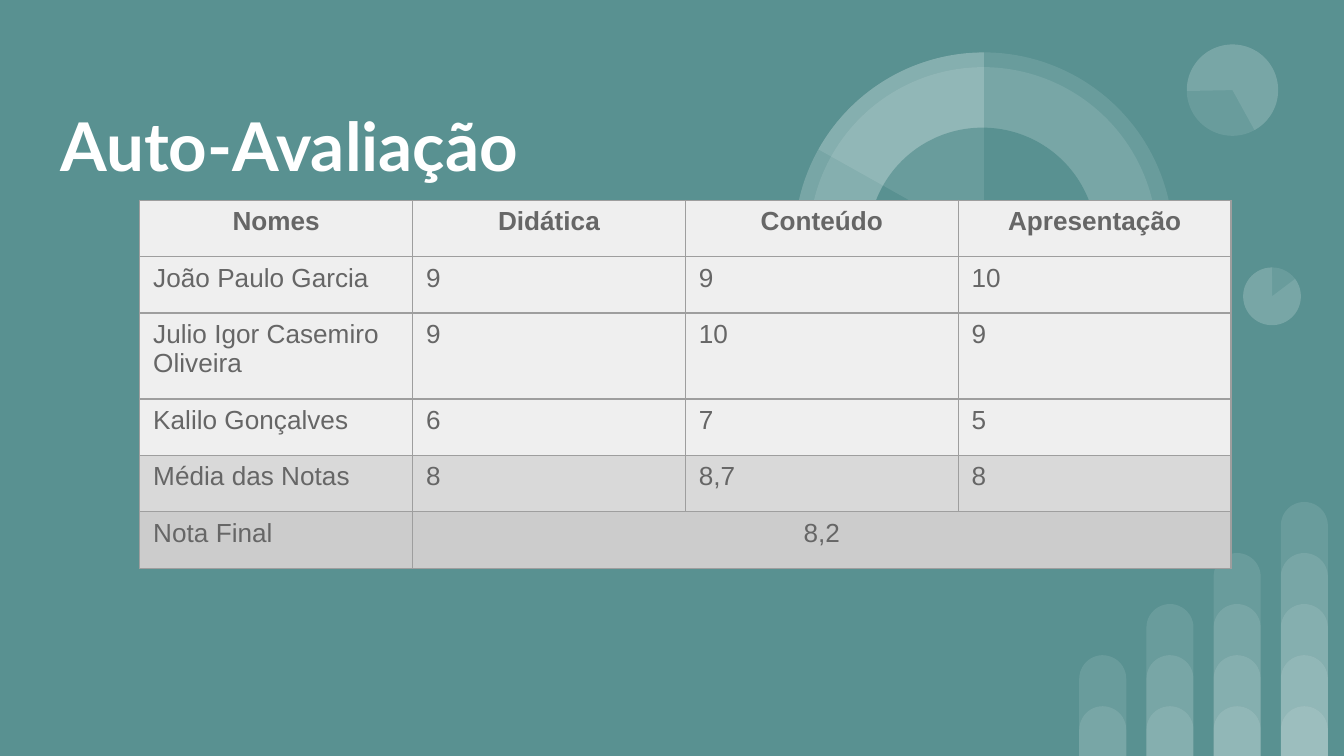
"""Build the self-evaluation slide with its grade table."""
from dataclasses import dataclass
from typing import Optional

from lxml.etree import SubElement
from pptx import Presentation
from pptx.dml.color import RGBColor
from pptx.enum.shapes import MSO_SHAPE
from pptx.enum.text import MSO_ANCHOR, PP_ALIGN
from pptx.oxml import parse_xml
from pptx.oxml.ns import nsdecls, qn
from pptx.util import Inches, Pt


@dataclass(frozen=True)
class Theme:
    background: RGBColor = RGBColor(0x59, 0x91, 0x91)
    white: RGBColor = RGBColor(0xFF, 0xFF, 0xFF)
    cell_text: RGBColor = RGBColor(0x66, 0x66, 0x66)
    grades_fill: RGBColor = RGBColor(0xEF, 0xEF, 0xEF)
    average_fill: RGBColor = RGBColor(0xD9, 0xD9, 0xD9)
    final_fill: RGBColor = RGBColor(0xCC, 0xCC, 0xCC)
    border: str = "9E9E9E"
    border_width: float = 0.75
    veil_percent: int = 10
    title_font: str = "Lato"
    title_size: int = 36
    table_font: str = "Arial"
    table_size: int = 14


@dataclass(frozen=True)
class Disc:
    left: float
    top: float
    size: float
    rotation: float = 0
    wedge: Optional[tuple[float, float]] = None
    opaque: bool = False


@dataclass(frozen=True)
class GradeRow:
    values: tuple[str, ...]
    fill: RGBColor
    height: float = 0.42
    header: bool = False


THEME = Theme()
SLIDE_WIDTH = 10
SLIDE_HEIGHT = SLIDE_WIDTH * 9 / 16
COLUMN_WIDTH = 2.03
BAR_COLUMNS = 4

DISCS = (
    Disc(9.25, 1.99, 0.43),
    Disc(7.08, 3.81, 0.35, 196.2),
    Disc(8.36, 2.96, 0.69, 90),
    Disc(8.36, 2.96, 0.69, 90, (137.41, 270.77)),
    Disc(8.5, 3.09, 0.43, 90),
    Disc(9.25, 1.99, 0.43, 0, (322.95, 270)),
    Disc(8.83, 0.33, 0.68, 215.9),
    Disc(8.83, 0.33, 0.68, 215.9, (322.95, 205.23)),
    Disc(5.91, 0.39, 2.82),
    Disc(6.02, 0.5, 2.59, 34.1),
    Disc(5.91, 0.39, 2.82, 0, (146.69, 270)),
    Disc(6.46, 0.95, 1.7, 34.1, opaque=True),
    Disc(5.91, 0.39, 2.82, 0, (209.24, 270)),
    Disc(7.08, 3.81, 0.35, 196.2, (322.95, 270)),
)

ROWS = (
    GradeRow(("Nomes", "Didática", "Conteúdo", "Apresentação"), THEME.grades_fill, header=True),
    GradeRow(("João Paulo Garcia", "9", "9", "10"), THEME.grades_fill),
    GradeRow(("Julio Igor Casemiro Oliveira", "9", "10", "9"), THEME.grades_fill, 0.64),
    GradeRow(("Kalilo Gonçalves", "6", "7", "5"), THEME.grades_fill),
    GradeRow(("Média das Notas", "8", "8,7", "8"), THEME.average_fill),
    GradeRow(("Nota Final", "8,2", "", ""), THEME.final_fill),
)


def paint(shape, color: RGBColor, opacity: int = 100) -> None:
    """Give a shape a flat fill without line or shadow."""
    shape.shadow.inherit = False
    shape.line.fill.background()
    shape.fill.solid()
    shape.fill.fore_color.rgb = color
    if opacity < 100:
        color_element = shape.fill._xPr.find(qn("a:solidFill"))[0]
        SubElement(color_element, qn("a:alpha"), val=str(opacity * 1000))


def draw_bars(page) -> None:
    """Draw the rising columns of overlapping translucent bars."""
    group = page.shapes.add_group_shape()
    for column in range(BAR_COLUMNS):
        for level in range(column + 2):
            height = 0.37 + 0.38 * level
            bar = group.shapes.add_shape(
                MSO_SHAPE.ROUND_2_SAME_RECTANGLE,
                Inches(8.03 + 0.5 * column), Inches(SLIDE_HEIGHT - height),
                Inches(0.35), Inches(height))
            bar.adjustments[0] = 0.5
            bar.adjustments[1] = 0
            paint(bar, THEME.white, THEME.veil_percent)


def draw_discs(page) -> None:
    """Draw the circles and pie wedges, with angles in degrees."""
    group = page.shapes.add_group_shape()
    for disc in DISCS:
        kind = MSO_SHAPE.PIE if disc.wedge else MSO_SHAPE.OVAL
        shape = group.shapes.add_shape(
            kind, Inches(disc.left), Inches(disc.top), Inches(disc.size), Inches(disc.size))
        shape.rotation = disc.rotation
        for index, degrees in enumerate(disc.wedge or ()):
            shape.adjustments[index] = degrees * 0.6
        if disc.opaque:
            paint(shape, THEME.background)
        else:
            paint(shape, THEME.white, THEME.veil_percent)


def set_font(paragraph, name: str, size: int, color: RGBColor, bold: bool) -> None:
    """Set the font of a whole paragraph."""
    font = paragraph.font
    font.name, font.size, font.bold = name, Pt(size), bold
    font.color.rgb = color


def draw_title(page) -> None:
    """Write the slide title."""
    box = page.shapes.add_textbox(Inches(0.35), Inches(0.05), Inches(4.65), Inches(2.05))
    frame = box.text_frame
    frame.word_wrap = True
    frame.vertical_anchor = MSO_ANCHOR.MIDDLE
    frame.margin_left = frame.margin_right = Inches(0.1)
    frame.margin_top = frame.margin_bottom = Inches(0.1)
    frame.text = "Auto-Avaliação"
    set_font(frame.paragraphs[0], THEME.title_font, THEME.title_size, THEME.white, True)


def add_borders(cell) -> None:
    """Outline all four sides of a cell."""
    properties = cell._tc.get_or_add_tcPr()
    for index, side in enumerate(("lnL", "lnR", "lnT", "lnB")):
        properties.insert(index, parse_xml(
            f'<a:{side} {nsdecls("a")} w="{Pt(THEME.border_width)}"><a:solidFill>'
            f'<a:srgbClr val="{THEME.border}"/></a:solidFill></a:{side}>'))


def draw_grades(page) -> None:
    """Draw the grade table with its merged final mark."""
    column_count = len(ROWS[0].values)
    table = page.shapes.add_table(
        len(ROWS), column_count, Inches(1.04), Inches(1.49),
        Inches(COLUMN_WIDTH * column_count), Inches(sum(row.height for row in ROWS))).table
    table.first_row = table.horz_banding = False
    for column in table.columns:
        column.width = Inches(COLUMN_WIDTH)
    final_row = len(ROWS) - 1
    for row_index, row in enumerate(ROWS):
        table.rows[row_index].height = Inches(row.height)
        for column_index, value in enumerate(row.values):
            cell = table.cell(row_index, column_index)
            cell.margin_left = cell.margin_right = Inches(0.1)
            cell.margin_top = cell.margin_bottom = Inches(0.05)
            cell.fill.solid()
            cell.fill.fore_color.rgb = row.fill
            add_borders(cell)
            cell.text = value
            paragraph = cell.text_frame.paragraphs[0]
            centered = row.header or (row_index == final_row and column_index > 0)
            paragraph.alignment = PP_ALIGN.CENTER if centered else PP_ALIGN.LEFT
            set_font(paragraph, THEME.table_font, THEME.table_size, THEME.cell_text, row.header)
    table.cell(final_row, 1).merge(table.cell(final_row, column_count - 1))


def main() -> None:
    """Build and save the deck."""
    deck = Presentation()
    deck.slide_width, deck.slide_height = Inches(SLIDE_WIDTH), Inches(SLIDE_HEIGHT)
    page = deck.slides.add_slide(deck.slide_layouts[6])
    page.background.fill.solid()
    page.background.fill.fore_color.rgb = THEME.background
    draw_bars(page)
    draw_discs(page)
    draw_title(page)
    draw_grades(page)
    deck.save("out.pptx")


if __name__ == "__main__":
    main()
